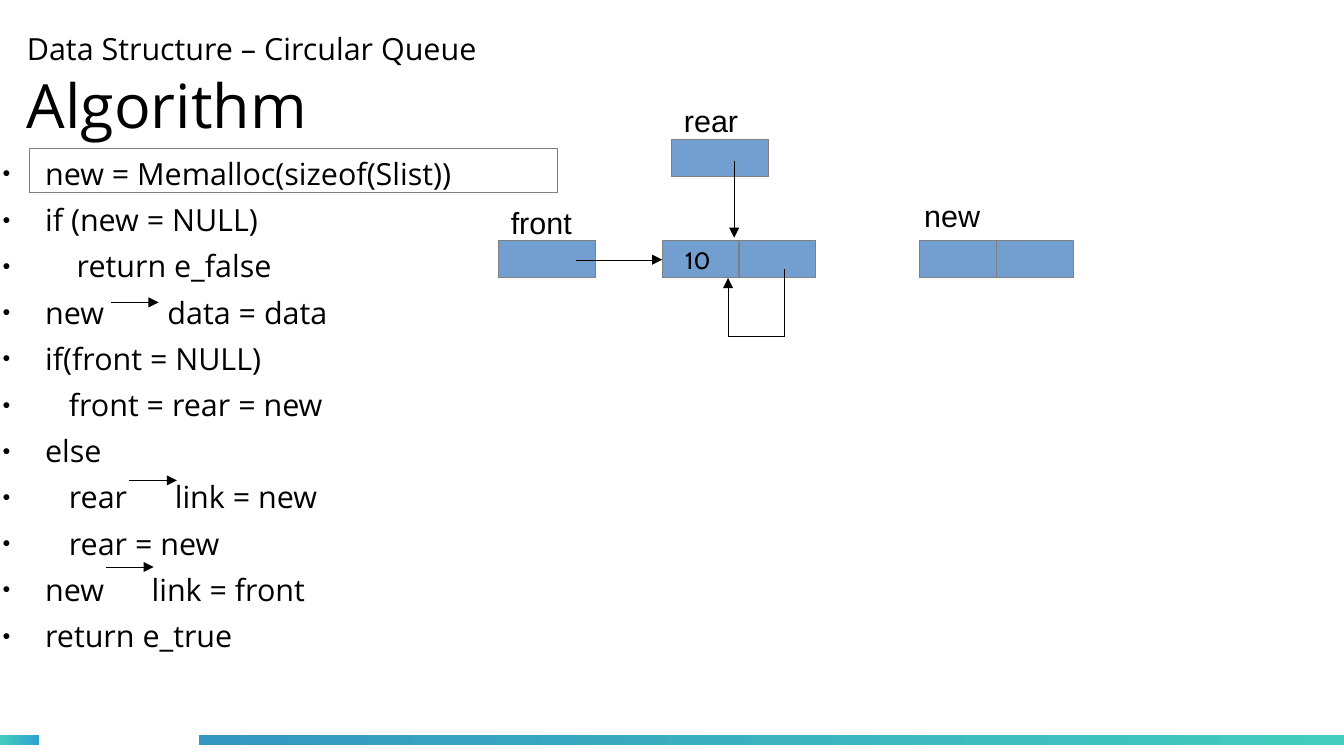
from lxml import etree
from pptx import Presentation
from pptx import util as u
from pptx.dml.color import RGBColor
from pptx.enum import shapes, text
from pptx.oxml.ns import qn

BLACK = RGBColor(0, 0, 0)
WHITE = RGBColor(255, 255, 255)
GRAY = RGBColor(0x80, 0x80, 0x80)
BLUE = RGBColor(0x72, 0x9F, 0xCF)
TEAL = RGBColor(0x43, 0xCC, 0xBD)
SKY = RGBColor(0x30, 0xA2, 0xD2)
SEA = RGBColor(0x34, 0x97, 0xC1)
SANS = "Open Sans"
SPACE = 4.68

CODE = [
    ("new = Memalloc(sizeof(Slist))",),
    ("if (new = NULL)",),
    ("    return e_false",),
    ("new", 8, "data = data"),
    ("if(front = NULL)",),
    ("   front = rear = new",),
    ("else",),
    ("   rear", 6, "link = new"),
    ("   rear = new",),
    ("new", 6, "link = front"),
    ("return e_true",),
]


class Deck:
    def __init__(self, wide, high):
        self.prs = Presentation()
        self.prs.slide_width = u.Inches(wide)
        self.prs.slide_height = u.Inches(high)
        self.slide = self.prs.slides.add_slide(self.prs.slide_layouts[1])
        self.items = self.slide.shapes

    def style(self, run, size, face):
        run.font.size = u.Pt(size)
        run.font.name = face
        run.font.color.rgb = BLACK

    def place(self, item, spot):
        item.left, item.top, item.width, item.height = map(u.Inches, spot)
        tree = item._element.getparent()
        tree.append(item._element)
        item.text_frame.auto_size = text.MSO_AUTO_SIZE.NONE
        item.text_frame.word_wrap = True

    def title(self, spot, lines):
        item = self.items.title
        self.place(item, spot)
        frame = item.text_frame
        frame.margin_left = frame.margin_right = 0
        frame.margin_top = frame.margin_bottom = 0
        frame.vertical_anchor = text.MSO_ANCHOR.MIDDLE
        frame.text = "\n".join(line for line, size in lines)
        for para, (line, size) in zip(frame.paragraphs, lines):
            para.alignment = text.PP_ALIGN.LEFT
            self.style(para.runs[0], size, SANS)

    def body(self, spot, rows):
        item = self.slide.placeholders[1]
        self.place(item, spot)
        frame = item.text_frame
        frame.vertical_anchor = text.MSO_ANCHOR.TOP
        frame.text = "\n".join(row[0] for row in rows)
        for para, row in zip(frame.paragraphs, rows):
            self.bullet(para)
            if len(row) > 1:
                gap = para.add_run()
                gap.text = " "
                gap.font._element.set("spc", str(round(SPACE * (row[1] - 1) * 100)))
                para.add_run().text = row[2]
            for run in para.runs:
                self.style(run, 18, SANS)

    def bullet(self, para):
        para.space_before = u.Pt(0)
        para.space_after = u.Pt(5.7)
        para.line_spacing = 1.0
        props = para._p.get_or_add_pPr()
        props.set("marL", str(u.Inches(0.47)))
        props.set("indent", str(u.Inches(-0.35)))
        tone = etree.SubElement(props, qn("a:buClr"))
        etree.SubElement(tone, qn("a:srgbClr"), val=str(BLACK))
        etree.SubElement(props, qn("a:buSzPct"), val="45000")
        etree.SubElement(props, qn("a:buChar"), char="●")

    def rect(self, spot):
        item = self.items.add_shape(shapes.MSO_SHAPE.RECTANGLE, *map(u.Inches, spot))
        item.shadow.inherit = False
        return item

    def hair(self, item, tone):
        item.line.color.rgb = tone
        edge = item.line._get_or_add_ln()
        edge.set("w", "0")
        return edge

    def box(self, spot, fill=BLUE):
        item = self.rect(spot)
        item.fill.solid()
        item.fill.fore_color.rgb = fill
        self.hair(item, GRAY)

    def bar(self, spot, start, end):
        item = self.rect(spot)
        item.line.fill.background()
        item.fill.gradient()
        item.fill.gradient_angle = 0
        for stop, tone in zip(item.fill.gradient_stops, (start, end)):
            stop.color.rgb = tone

    def node(self, left, top):
        for col in range(2):
            self.box((left + col * 0.63, top, 0.63, 0.31))

    def label(self, spot, words, size=18, face="Arial", wrap=False):
        frame = self.items.add_textbox(*map(u.Inches, spot)).text_frame
        frame.word_wrap = wrap
        frame.text = words
        self.style(frame.paragraphs[0].runs[0], size, face)

    def line(self, start, end, head=True):
        item = self.items.add_connector(
            shapes.MSO_CONNECTOR.STRAIGHT, *map(u.Inches, start + end))
        edge = self.hair(item, BLACK)
        if head:
            etree.SubElement(edge, qn("a:tailEnd"), type="triangle")
        etree.SubElement(item._element.spPr, qn("a:effectLst"))


def main():
    deck = Deck(11.02, 6.2)
    deck.bar((0, 6.03, 0.32, 0.08), TEAL, SKY)
    deck.bar((1.63, 6.03, 9.4, 0.08), SEA, TEAL)
    deck.title((0.22, 0.08, 9.94, 1.24),
               [("Data Structure – Circular Queue", 18), ("Algorithm", 36)])
    deck.box((0.24, 1.22, 4.33, 0.36), WHITE)

    deck.node(7.54, 1.97)
    deck.label((7.48, 1.57, 0.73, 0.38), "new")
    deck.node(5.43, 1.97)
    for left, top, name in ((5.51, 1.14, "rear"), (4.09, 1.97, "front")):
        deck.box((left, top, 0.79, 0.31))
        deck.label((left, top - 0.35, 0.77, 0.38), name)

    deck.line((4.72, 2.13), (5.43, 2.13))
    deck.line((6.02, 1.32), (6.02, 1.95))
    deck.line((6.43, 2.21), (6.43, 2.76), head=False)
    deck.line((5.97, 2.76), (6.43, 2.76), head=False)
    deck.line((5.97, 2.76), (5.97, 2.28))
    deck.label((5.52, 1.97, 0.54, 0.36), "10", 14, "Cabin", True)

    deck.body((-0.2, 1.22, 4.92, 4.63), CODE)
    for left, top in ((0.91, 2.48), (1.06, 3.94), (0.87, 4.65)):
        deck.line((left, top), (left + 0.39, top))
    deck.prs.save("out.pptx")


if __name__ == "__main__":
    main()
